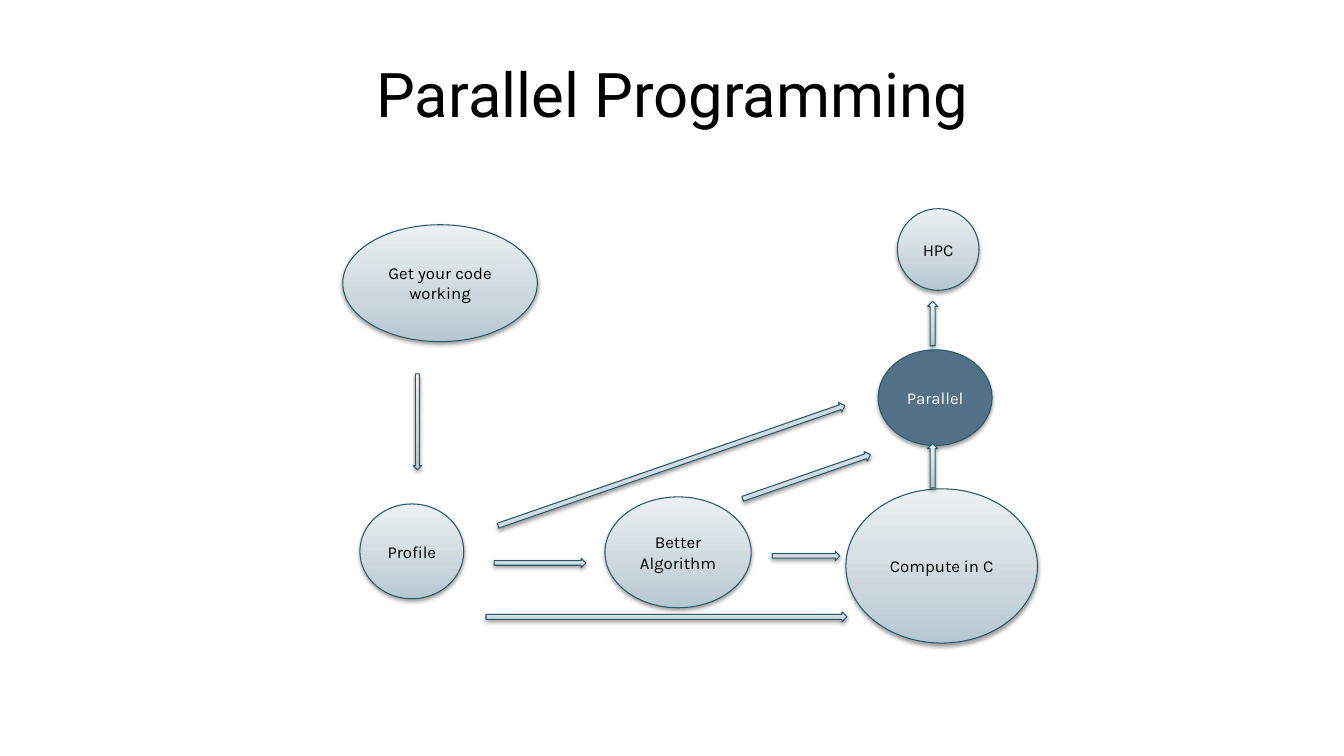
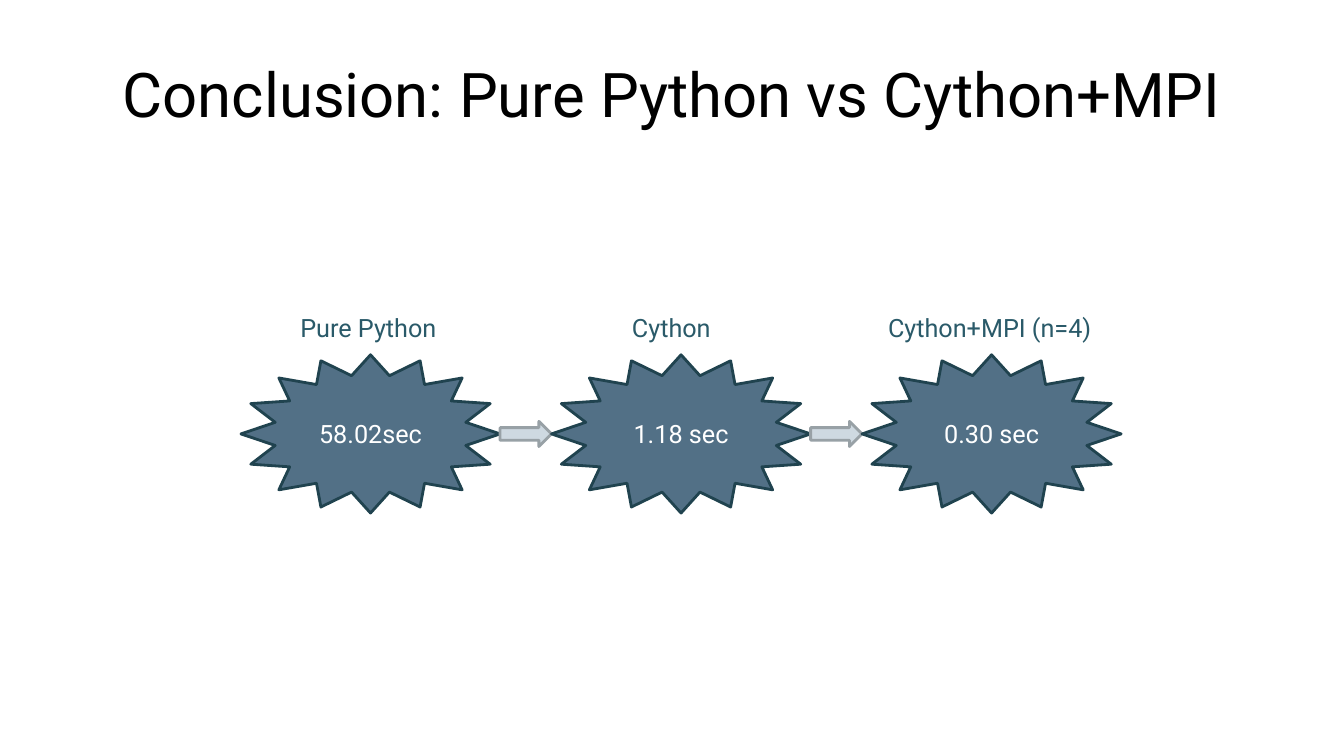
import lxml.etree
import pptx
import pptx.dml.color
import pptx.enum.shapes
import pptx.enum.text
import pptx.oxml.ns
import pptx.util

Inches = pptx.util.Inches
Pt = pptx.util.Pt
SHAPE = pptx.enum.shapes.MSO_SHAPE
ALIGN = pptx.enum.text.PP_ALIGN
ANCHOR = pptx.enum.text.MSO_ANCHOR
AUTO_SIZE = pptx.enum.text.MSO_AUTO_SIZE

COLORS = {
    "black": "000000",
    "white": "FFFFFF",
    "slate": "527086",
    "flow_line": "285968",
    "star_line": "20434F",
    "label": "2A5A69",
    "arrow": "CED9E1",
    "arrow_line": "98A1A6",
}
GRADIENT = [(0, "B5C7D0"), (35, "CBD7DD"), (100, "EBF0F3")]

TITLE = {"name": "Roboto", "size": Pt(44), "color": "black"}
NODE = {"name": "Karla", "size": Pt(12), "color": "black"}
ACTIVE_NODE = {**NODE, "color": "white"}
STAR = {"name": "Roboto", "size": Pt(18), "color": "white"}
LABEL = {**STAR, "color": "label"}

FLOW_NODES = [
    ("Get your code\nworking", 0, 0.16, 1.93, 1.16),
    ("Compute in C", 4.99, 2.78, 1.9, 1.53),
    ("Parallel", 5.31, 1.4, 1.13, 0.95),
    ("HPC", 5.5, 0, 0.81, 0.81),
    ("Better\nAlgorithm", 2.6, 2.86, 1.45, 1.1),
    ("Profile", 0.17, 2.93, 1.03, 0.94),
]
FLOW_ARROWS = [
    (SHAPE.RIGHT_ARROW, 1.5, 3.47, 0.91, 0.09, 0),
    (SHAPE.RIGHT_ARROW, 4.26, 3.4, 0.67, 0.09, 0),
    (SHAPE.DOWN_ARROW, 0.7, 1.64, 0.08, 0.95, 0),
    (SHAPE.UP_ARROW, 5.8, 2.33, 0.1, 0.44, 0),
    (SHAPE.UP_ARROW, 5.8, 0.92, 0.1, 0.44, 0),
    (SHAPE.RIGHT_ARROW, 1.42, 4, 3.58, 0.1, 0),
    (SHAPE.RIGHT_ARROW, 1.44, 2.5, 3.64, 0.1, 340.9),
    (SHAPE.RIGHT_ARROW, 3.93, 2.61, 1.34, 0.1, 340.9),
]
TIMINGS = [
    ("Pure Python", "58.02sec", 0.49, 1.59),
    ("Cython", "1.18 sec", 0.7, 1),
    ("Cython+MPI (n=4)", "0.30 sec", 0.16, 2.26),
]


def rgb(name):
    """Return the palette colour with this name."""
    return pptx.dml.color.RGBColor.from_string(COLORS[name])


def write_text(shape, text, font_format, align=ALIGN.CENTER, **frame_format):
    """Fill a shape with formatted paragraphs."""
    frame = shape.text_frame
    frame.text = text
    for attribute, value in frame_format.items():
        setattr(frame, attribute, value)
    for paragraph in frame.paragraphs:
        paragraph.alignment = align
        for attribute, value in font_format.items():
            if attribute == "color":
                paragraph.font.color.rgb = rgb(value)
            else:
                setattr(paragraph.font, attribute, value)


def add_outlined(slide, kind, box, line, width, fill=None):
    """Add a preset shape, with the shared gradient if no fill is named."""
    shape = slide.shapes.add_shape(kind, *(Inches(length) for length in box))
    shape.shadow.inherit = False
    shape.line.color.rgb = rgb(line)
    shape.line.width = Pt(width)
    if fill:
        shape.fill.solid()
        shape.fill.fore_color.rgb = rgb(fill)
    else:
        apply_gradient(shape)
    return shape


def add_color(parent, value):
    """Add an RGB colour element."""
    return lxml.etree.SubElement(parent, pptx.oxml.ns.qn("a:srgbClr"), val=value)


def apply_gradient(shape):
    """Fill a shape with the pale vertical gradient."""
    shape.fill.gradient()
    shape.fill.gradient_angle = 90
    stops = shape._element.spPr.find(".//" + pptx.oxml.ns.qn("a:gsLst"))
    for stop in list(stops):
        stops.remove(stop)
    for position, value in GRADIENT:
        stop = lxml.etree.SubElement(
            stops, pptx.oxml.ns.qn("a:gs"), pos=str(position * 1000))
        add_color(stop, value)


def apply_shadow(shape):
    """Give a shape a soft shadow below it."""
    effects = shape._element.spPr.find(pptx.oxml.ns.qn("a:effectLst"))
    shadow = lxml.etree.SubElement(
        effects, pptx.oxml.ns.qn("a:outerShdw"), blurRad=str(Pt(3.1)),
        dist=str(Pt(1.6)), dir="5400000", rotWithShape="0")
    color = add_color(shadow, COLORS["black"])
    lxml.etree.SubElement(color, pptx.oxml.ns.qn("a:alpha"), val="38000")


def add_titled_slide(presentation, text):
    """Add a slide with the shared title style."""
    slide = presentation.slides.add_slide(presentation.slide_layouts[5])
    title = slide.shapes.title
    title.left, title.top = Inches(0.67), Inches(0.3)
    title.width, title.height = Inches(12), Inches(1.25)
    write_text(title, text, TITLE, vertical_anchor=ANCHOR.MIDDLE,
               auto_size=AUTO_SIZE.NONE)
    return slide


def add_flow(slide, left, top):
    """Draw the optimisation flow from the given corner."""
    for text, x, y, width, height in FLOW_NODES:
        active = text == "Parallel"
        node = add_outlined(slide, SHAPE.OVAL, (left + x, top + y, width, height),
                            "flow_line", 0.75, "slate" if active else None)
        apply_shadow(node)
        write_text(node, text, ACTIVE_NODE if active else NODE,
                   vertical_anchor=ANCHOR.MIDDLE, word_wrap=False)
    for kind, x, y, width, height, rotation in FLOW_ARROWS:
        arrow = add_outlined(slide, kind, (left + x, top + y, width, height),
                             "flow_line", 0.75)
        arrow.rotation = rotation
        apply_shadow(arrow)


def add_timings(slide, left, top):
    """Draw a row of labelled timings joined by block arrows."""
    star_width, star_height, gap = 2.57, 1.57, 0.51
    star_top = top + 0.47
    for index, (name, seconds, label_offset, label_width) in enumerate(TIMINGS):
        x = left + index * (star_width + gap)
        if index:
            add_outlined(slide, SHAPE.RIGHT_ARROW,
                         (x - gap, star_top + 0.66, gap, 0.25),
                         "arrow_line", 2, "arrow")
        star = add_outlined(slide, SHAPE.STAR_16_POINT,
                            (x, star_top, star_width, star_height),
                            "star_line", 2, "slate")
        write_text(star, seconds, STAR, vertical_anchor=ANCHOR.MIDDLE)
        label = slide.shapes.add_textbox(
            Inches(x + label_offset), Inches(top), Inches(label_width), Inches(0.4))
        write_text(label, name, LABEL, ALIGN.LEFT, word_wrap=False,
                   auto_size=AUTO_SIZE.SHAPE_TO_FIT_TEXT)


def main():
    """Build and save the presentation."""
    presentation = pptx.Presentation()
    presentation.slide_width = Inches(13.33)
    presentation.slide_height = Inches(7.5)
    add_flow(add_titled_slide(presentation, "Parallel Programming"), 3.4, 2.07)
    add_timings(add_titled_slide(
        presentation, "Conclusion: Pure Python vs Cython+MPI"), 2.39, 3.05)
    presentation.save("out.pptx")


if __name__ == "__main__":
    main()
